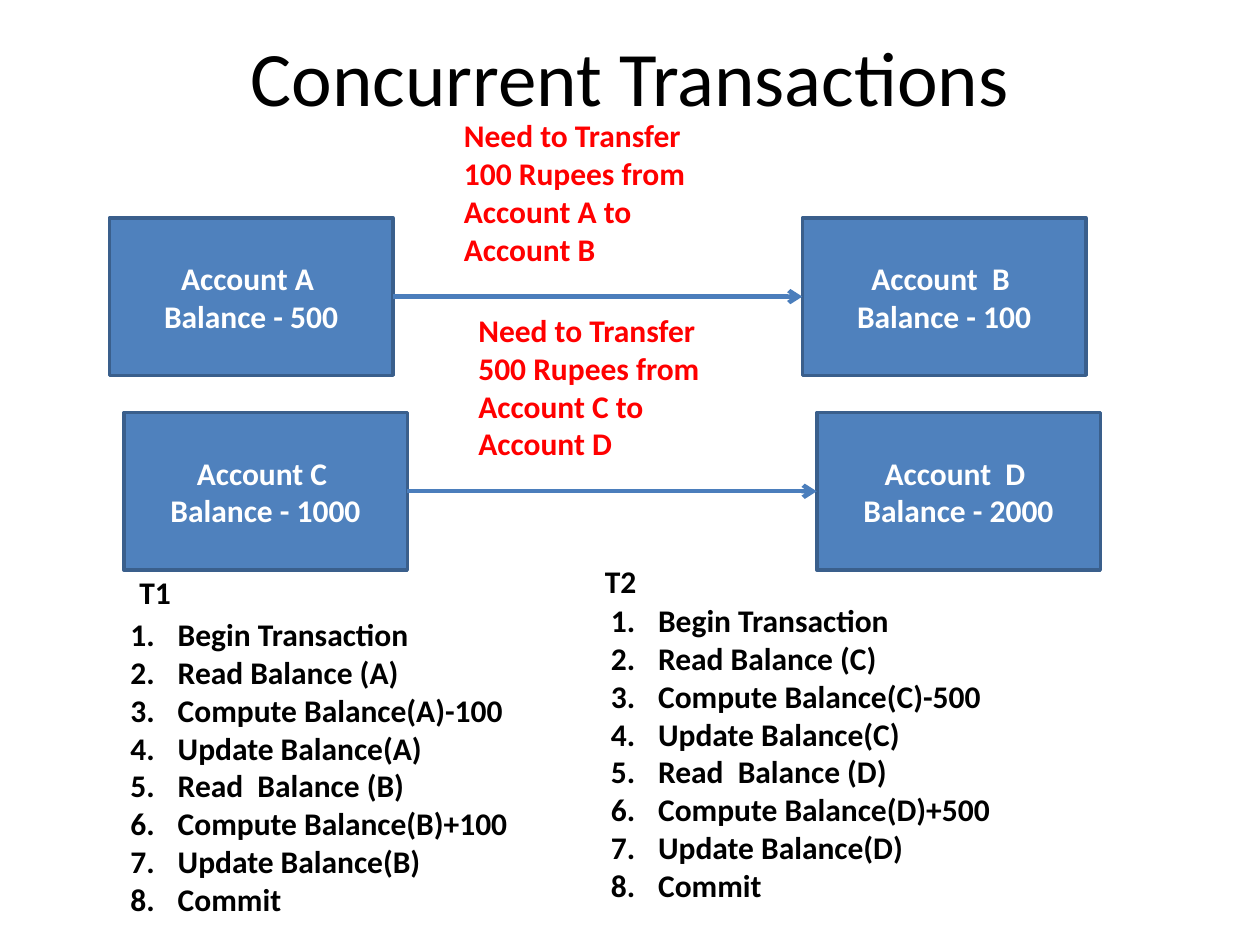
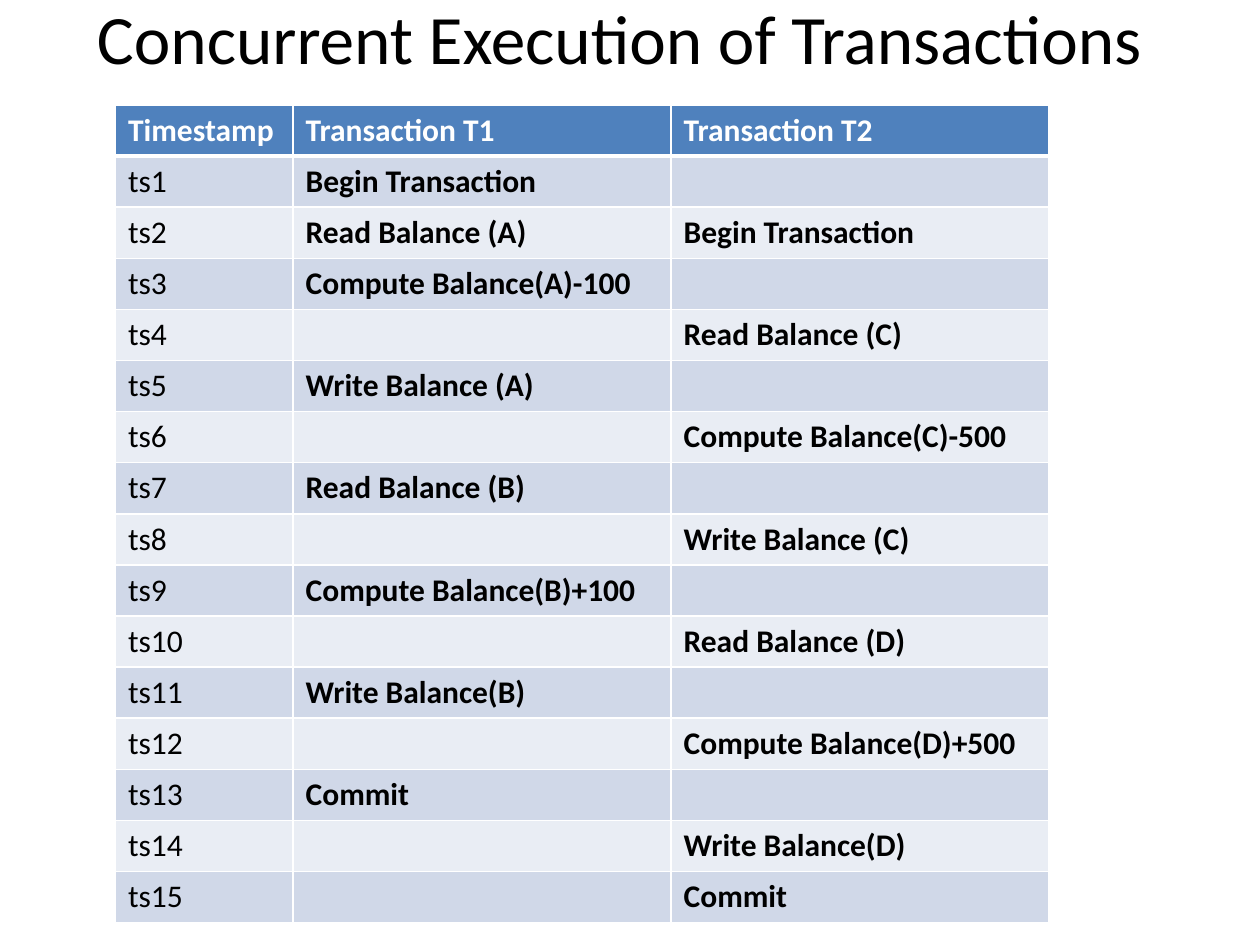
from dataclasses import dataclass

from lxml import etree
from pptx import Presentation
from pptx.dml.color import RGBColor
from pptx.enum.shapes import MSO_CONNECTOR as Connector, MSO_SHAPE as Shape
from pptx.enum.text import MSO_ANCHOR as Anchor, MSO_AUTO_SIZE as AutoSize, PP_ALIGN as Align
from pptx.oxml.ns import qn
from pptx.util import Pt


@dataclass(frozen=True)
class Theme:
    font: str = "Calibri"
    ink: str = "000000"
    white: str = "FFFFFF"
    alert: str = "FF0000"
    blue: str = "4F81BD"
    outline: str = "3A5F8C"
    arrow: str = "4B7EBC"
    bands: tuple = ("D0D8E8", "E9EDF4")
    title_size: float = 44
    long_title_size: float = 39.6
    body_size: float = 18


def rgb(color):
    return RGBColor.from_string(color)


def add_child(parent, tag, **attributes):
    return etree.SubElement(parent, qn(tag), attributes)


class SlideWriter:
    def __init__(self, deck, theme):
        self.deck = deck
        self.theme = theme
        self.page = None

    def new_page(self, title, left, top, size):
        self.page = self.deck.slides.add_slide(self.deck.slide_layouts[5])
        heading = self.page.shapes.title
        heading.left, heading.top = Pt(left), Pt(top)
        heading.width, heading.height = Pt(648), Pt(90)
        frame = heading.text_frame
        frame.auto_size = AutoSize.NONE
        frame.vertical_anchor = Anchor.MIDDLE
        para = frame.paragraphs[0]
        para.alignment = Align.CENTER
        self.span(para, title, self.theme.ink, size=size, bold=False)

    def span(self, para, text, color, size=None, bold=True):
        run = para.add_run()
        run.text = text
        run.font.name = self.theme.font
        run.font.size = Pt(size or self.theme.body_size)
        run.font.bold = bold
        run.font.color.rgb = rgb(color)

    def lines(self, frame, texts, color, align=Align.LEFT, numbered=False):
        for index, text in enumerate(texts):
            para = frame.add_paragraph() if index else frame.paragraphs[0]
            para.alignment = align
            if numbered:
                self.number(para)
            self.span(para, text, color)

    def number(self, para):
        indent = Pt(27)
        properties = para._p.get_or_add_pPr()
        properties.set("marL", str(indent))
        properties.set("indent", str(-indent))
        add_child(properties, "a:buFont", typeface="+mj-lt")
        add_child(properties, "a:buAutoNum", type="arabicPeriod")

    def text(self, left, top, width, height, texts, color, numbered=False):
        box = self.page.shapes.add_textbox(Pt(left), Pt(top), Pt(width), Pt(height))
        box.text_frame.word_wrap = True
        self.lines(box.text_frame, texts, color, numbered=numbered)

    def account(self, left, top, width, height, texts):
        box = self.page.shapes.add_shape(
            Shape.RECTANGLE, Pt(left), Pt(top), Pt(width), Pt(height))
        box.shadow.inherit = False
        box.fill.solid()
        box.fill.fore_color.rgb = rgb(self.theme.blue)
        box.line.color.rgb = rgb(self.theme.outline)
        box.line.width = Pt(2)
        box.text_frame.word_wrap = True
        box.text_frame.vertical_anchor = Anchor.MIDDLE
        self.lines(box.text_frame, texts, self.theme.white, Align.CENTER)

    def arrow(self, start, end, y):
        link = self.page.shapes.add_connector(
            Connector.STRAIGHT, Pt(start), Pt(y), Pt(end), Pt(y))
        link.line.color.rgb = rgb(self.theme.arrow)
        link.line.width = Pt(2.5)
        add_child(link.line._get_or_add_ln(), "a:tailEnd", type="arrow")
        add_child(link._element.spPr, "a:effectLst")

    def transfer(self, left, top, source, target, request):
        """Two account boxes, the arrow between them and the request above it."""
        width, height, step = 162, 90, 396
        self.account(left, top, width, height, source)
        self.account(left + step, top, width, height, target)
        self.arrow(left + width, left + step, top + height / 2)
        self.text(left + 195.5, top - 61.5, 168, 94.5, [request], self.theme.alert)

    def steps(self, left, top, texts):
        self.text(left, top, 273.5, 181.5, texts, self.theme.ink, numbered=True)

    def label(self, left, top, text):
        self.text(left, top, 71, 29, [text], self.theme.ink)

    def table(self, left, top, widths, row_height, rows):
        theme = self.theme
        table = self.page.shapes.add_table(
            len(rows), len(widths), Pt(left), Pt(top),
            Pt(sum(widths)), Pt(row_height * len(rows))).table
        for column, width in zip(table.columns, widths):
            column.width = Pt(width)
        for row_index, texts in enumerate(rows):
            table.rows[row_index].height = Pt(row_height)
            header = row_index == 0
            fill = theme.blue if header else theme.bands[(row_index - 1) % 2]
            for column_index, text in enumerate(texts):
                cell = table.cell(row_index, column_index)
                self.borders(cell, top=3 if row_index == 1 else 1, bottom=3 if header else 1)
                cell.fill.solid()
                cell.fill.fore_color.rgb = rgb(fill)
                if text:
                    self.span(cell.text_frame.paragraphs[0], text,
                              theme.white if header else theme.ink,
                              bold=header or column_index > 0)

    def borders(self, cell, top, bottom):
        properties = cell._tc.get_or_add_tcPr()
        for side, width in zip("LRTB", (1, 1, top, bottom)):
            line = add_child(properties, f"a:ln{side}", w=str(Pt(width)))
            add_child(add_child(line, "a:solidFill"), "a:srgbClr", val=self.theme.white)


def accounts_page(writer):
    writer.new_page("Concurrent Transactions", 36, -1.5, writer.theme.title_size)
    writer.transfer(62.5, 124.5, ["Account A ", "Balance - 500"],
                    ["Account  B ", "Balance - 100"],
                    "Need to Transfer 100 Rupees from Account A to Account B")
    writer.transfer(70.75, 235.75, ["Account C ", "Balance - 1000"],
                    ["Account  D ", "Balance - 2000"],
                    "Need to Transfer 500 Rupees from Account C to Account D")
    plans = [(67.5, 348, "A", "B", 100), (342, 340, "C", "D", 500)]
    for left, top, payer, payee, amount in plans:
        writer.steps(left, top, [
            "Begin Transaction",
            f"Read Balance ({payer})",
            f"Compute Balance({payer})-{amount}",
            f"Update Balance({payer})",
            f"Read  Balance ({payee})",
            f"Compute Balance({payee})+{amount}",
            f"Update Balance({payee})",
            "Commit",
        ])
    writer.label(72.5, 324, "T1")
    writer.label(338.5, 317.5, "T2")


def schedule_page(writer):
    writer.new_page("Concurrent Execution of Transactions", 30, -24,
                    writer.theme.long_title_size)
    schedule = [
        ("Begin Transaction", ""),
        ("Read Balance (A)", "Begin Transaction"),
        ("Compute Balance(A)-100", ""),
        ("", "Read Balance (C)"),
        ("Write Balance (A)", ""),
        ("", "Compute Balance(C)-500"),
        ("Read Balance (B)", ""),
        ("", "Write Balance (C)"),
        ("Compute Balance(B)+100", ""),
        ("", "Read Balance (D)"),
        ("Write Balance(B)", ""),
        ("", "Compute Balance(D)+500"),
        ("Commit", ""),
        ("", "Write Balance(D)"),
        ("", "Commit"),
    ]
    rows = [("Timestamp", "Transaction T1", "Transaction T2")]
    rows += [(f"ts{tick}", *actions) for tick, actions in enumerate(schedule, 1)]
    writer.table(66, 60, (101.5, 216, 216), 29.2, rows)


def main():
    deck = Presentation()
    deck.slide_width, deck.slide_height = Pt(720), Pt(540)
    writer = SlideWriter(deck, Theme())
    accounts_page(writer)
    schedule_page(writer)
    deck.save("out.pptx")


if __name__ == "__main__":
    main()
